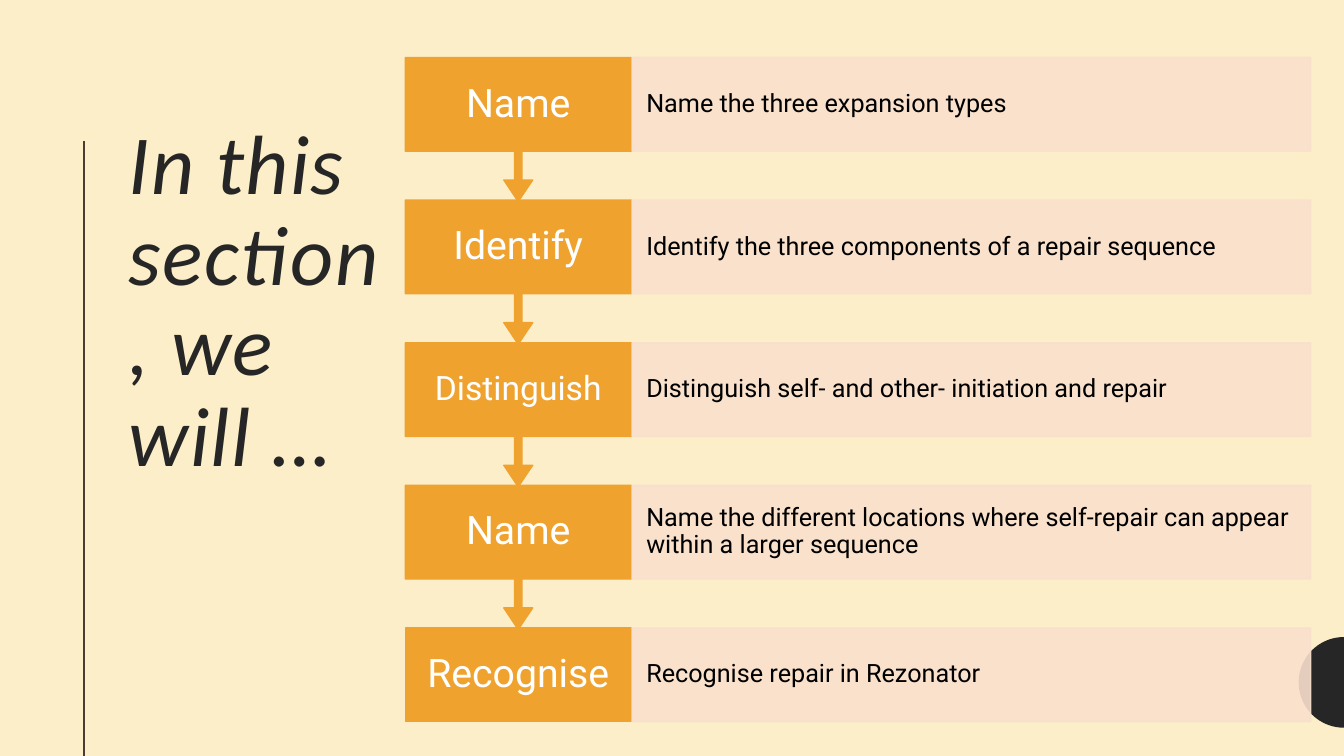
from dataclasses import dataclass
from math import cos, pi, sin

from lxml.etree import SubElement as SubEl
from pptx import Presentation
from pptx.dml.color import RGBColor as Rgb
from pptx.enum.shapes import MSO_CONNECTOR as Link, MSO_SHAPE as Kind
from pptx.enum.text import MSO_ANCHOR as Anchor, PP_ALIGN as Align
from pptx.oxml.ns import qn
from pptx.util import Inches, Pt

HUES = {
    "page": "FBEEC9",
    "dark": "262626",
    "rule": "4E3B30",
    "gold": "F0A22E",
    "peach": "F9E0CD",
    "white": "FFFFFF",
    "black": "000000",
}
WIDE, HIGH = 13.33, 7.5
LEFT, TOP, LAST = 4.02, 0.57, 6.23
HEAD, BODY, TALL = 2.24, 6.73, 0.93
SPLIT, DROP = 6.27, 1.43


@dataclass
class Step:
    verb: str
    goal: str
    size: int = 28
    pad: float = 0.22


STEPS = [
    Step("Name", "Name the three expansion types"),
    Step("Identify", "Identify the three components of a repair sequence"),
    Step("Distinguish", "Distinguish self- and other- initiation and repair", 24, 0.19),
    Step("Name", "Name the different locations where self-repair can appear within a larger sequence"),
    Step("Recognise", "Recognise repair in Rezonator"),
]


def hue(name: str) -> Rgb:
    return Rgb.from_string(HUES[name])


def paint(shape, name: str, alpha: int = 100) -> None:
    shape.shadow.inherit = False
    shape.fill.solid()
    shape.fill.fore_color.rgb = hue(name)
    shape.line.color.rgb = hue(name)
    shape.line.width = Pt(1)
    if alpha < 100:
        for tint in shape._element.spPr.iter(qn("a:srgbClr")):
            SubEl(tint, qn("a:alpha")).set("val", str(alpha * 1000))


def write(shape, text: str, *, size: int, color: str, font: str = "Roboto",
          align=Align.LEFT, anchor=Anchor.MIDDLE, side: float = 0.1,
          pad: float = 0.05, slant: bool = False, track: int = 0) -> None:
    frame = shape.text_frame
    frame.word_wrap = True
    frame.vertical_anchor = anchor
    frame.margin_left = frame.margin_right = Inches(side)
    frame.margin_top = frame.margin_bottom = Inches(pad)
    para = frame.paragraphs[0]
    para.alignment = align
    para.line_spacing = 0.9
    run = para.add_run()
    run.text = text
    run.font.size = Pt(size)
    run.font.name = font
    run.font.italic = slant
    run.font.color.rgb = hue(color)
    if track:
        run._r.get_or_add_rPr().set("spc", str(track * 100))


def add_disc(shapes, mid: float, rad: float) -> None:
    turns = [pi / 2 + pi * k / 36 for k in range(37)]
    dots = [(Inches(WIDE + rad * cos(t)), Inches(mid - rad * sin(t))) for t in turns]
    pen = shapes.build_freeform(*dots[0], scale=1.0)
    pen.add_line_segments(dots[1:], close=True)
    disc = pen.convert_to_shape()
    paint(disc, "dark")
    disc.line.fill.background()


def add_rule(shapes, x: float, top: float) -> None:
    rule = shapes.add_connector(Link.STRAIGHT, Inches(x), Inches(top), Inches(x), Inches(HIGH))
    rule.line.color.rgb = hue("rule")
    rule.line.width = Pt(1.5)
    SubEl(rule._element.spPr, qn("a:effectLst"))


def add_step(shapes, step: Step, top: float, final: bool) -> None:
    kind, tall = (Kind.RECTANGLE, TALL) if final else (Kind.UP_ARROW_CALLOUT, DROP)
    block = shapes.add_shape(kind, Inches(LEFT), Inches(top), Inches(HEAD), Inches(tall))
    paint(block, "gold")
    if not final:
        block.rotation = 180
        for spot, value in enumerate((0.05, 0.1, 0.15, 0.65)):
            block.adjustments[spot] = value
    label = shapes.add_textbox(Inches(LEFT), Inches(top), Inches(HEAD), Inches(TALL))
    write(label, step.verb, size=step.size, color="white", align=Align.CENTER,
          side=0.16, pad=step.pad)
    band = shapes.add_shape(Kind.RECTANGLE, Inches(SPLIT), Inches(top), Inches(BODY), Inches(TALL))
    paint(band, "peach", 90)
    write(band, step.goal, size=18, color="black", side=0.14, pad=0.25)


def main() -> None:
    deck = Presentation()
    deck.slide_width, deck.slide_height = Inches(WIDE), Inches(HIGH)
    slide = deck.slides.add_slide(deck.slide_layouts[6])
    slide.background.fill.solid()
    slide.background.fill.fore_color.rgb = hue("page")
    shapes = slide.shapes

    title = shapes.add_textbox(Inches(1.18), Inches(1.16), Inches(2.84), Inches(5.26))
    write(title, "In this section, we will …", size=60, color="dark", font="Calibri",
          anchor=Anchor.TOP, slant=True, track=1)
    add_rule(shapes, 0.83, 1.4)
    add_disc(shapes, 6.77, 0.45)

    end = len(STEPS) - 1
    pitch = (LAST - TOP) / end
    for row in range(end, -1, -1):
        add_step(shapes, STEPS[row], TOP + row * pitch, row == end)
    deck.save("out.pptx")


if __name__ == "__main__":
    main()
